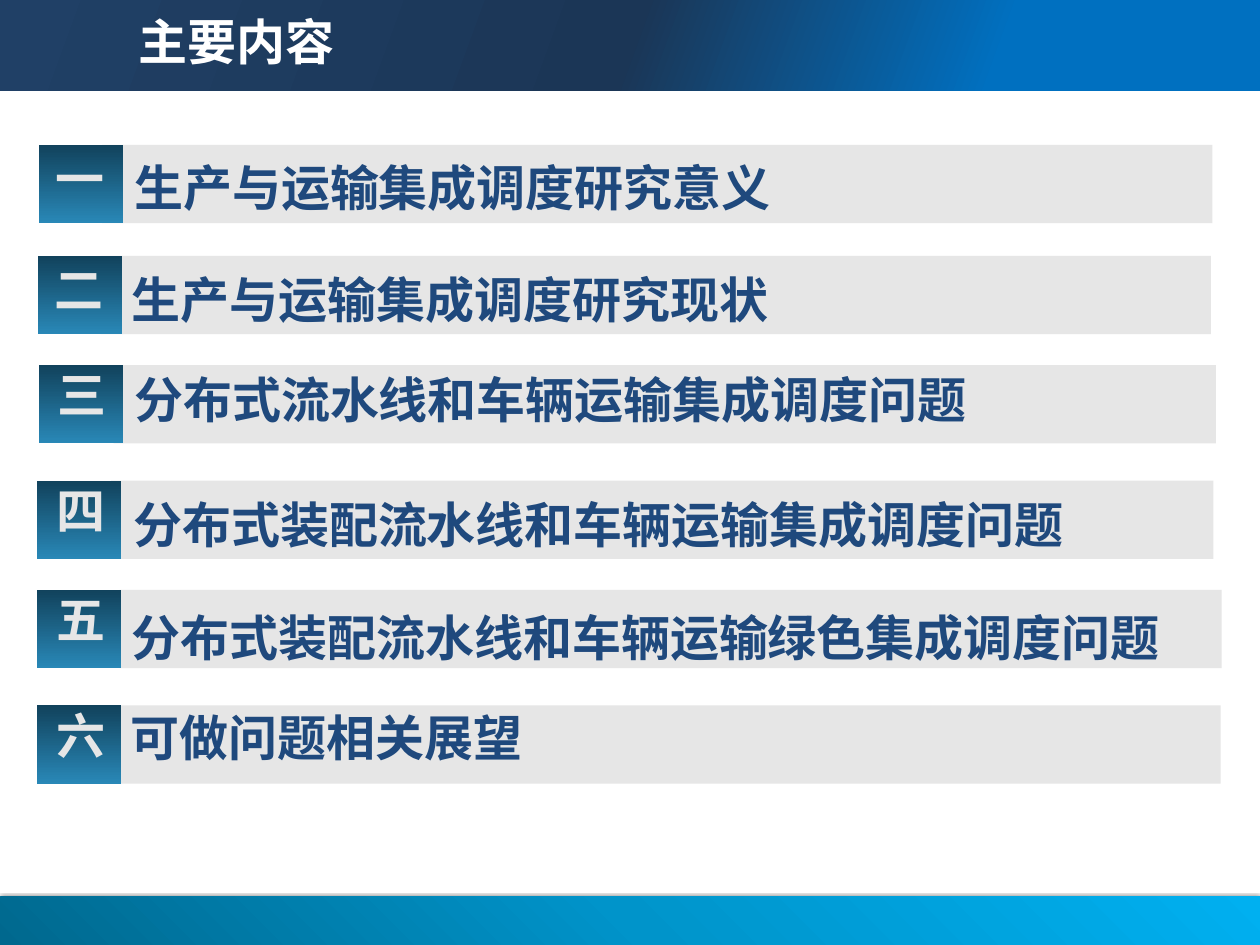
from lxml import etree
from pptx import Presentation
from pptx.dml.color import RGBColor as RGB
from pptx.enum.shapes import MSO_SHAPE as SHAPE
from pptx.enum.text import MSO_ANCHOR as ANCHOR, PP_ALIGN as ALIGN
from pptx.oxml import parse_xml
from pptx.oxml.ns import nsdecls, qn
from pptx.util import Cm, Pt

THEME = {
    "font": "Noto Sans CJK SC",
    "size": Pt(28),
    "title": "FFFFFF",
    "topic": "1F497D",
    "number": "E6E6E6",
    "bar": "E6E6E6",
    "badge": ([(0, "11425C"), (100, "2988B7")], 90),
    "header": ([(21, "0070C0"), (50, "1B3656"), (100, "204066")], 200),
    "footer": ([(0, "00688E"), (50, "0094CA"), (100, "00B0F0")], 315),
}


def add_block(box, fill):
    """Add a borderless rectangle with a solid colour or a (stops, angle) gradient."""
    sp = s.shapes.add_shape(SHAPE.RECTANGLE, *map(Cm, box))
    sp.shadow.inherit = False
    sp.line.fill.background()
    if isinstance(fill, str):
        sp.fill.solid()
        sp.fill.fore_color.rgb = RGB.from_string(fill)
        return sp
    stops, angle = fill
    gs = "".join(f'<a:gs pos="{pos * 1000}"><a:srgbClr val="{color}"/></a:gs>'
                 for pos, color in stops)
    sp.element.spPr.find(qn("a:prstGeom")).addnext(parse_xml(
        f'<a:gradFill {nsdecls("a")} rotWithShape="1"><a:gsLst>{gs}</a:gsLst>'
        f'<a:lin ang="{angle * 60000}" scaled="0"/></a:gradFill>'))
    return sp


def write(sp, text, color, top=0, anchor=ANCHOR.TOP, wrap=False):
    tf = sp.text_frame
    frame = {"word_wrap": wrap, "vertical_anchor": anchor, "margin_top": Cm(top),
             "margin_bottom": 0, "margin_left": Cm(0.25), "margin_right": Cm(0.25)}
    for name, value in frame.items():
        setattr(tf, name, value)
    p = tf.paragraphs[0]
    p.alignment = ALIGN.LEFT
    r = p.add_run()
    r.text = text
    for name, value in {"name": THEME["font"], "size": THEME["size"], "bold": True}.items():
        setattr(r.font, name, value)
    r.font.color.rgb = RGB.from_string(color)
    latin = r.font._element.find(qn("a:latin"))
    ea = etree.Element(qn("a:ea"), typeface=THEME["font"])
    latin.addnext(ea)


prs = Presentation()
prs.slide_width, prs.slide_height = Cm(25.4), Cm(19.05)
s = prs.slides.add_slide(prs.slide_layouts[5])

# Header and footer bands, behind the title
title = s.shapes.title
for box, fill in [((0, 0, 25.4, 1.83), THEME["header"]),
                  ((0, 18.08, 25.4, 0.97), THEME["footer"])]:
    band = add_block(box, fill)
    band.element.spPr.find(qn("a:effectLst")).append(parse_xml(
        f'<a:outerShdw {nsdecls("a")} blurRad="12700" dist="12700" dir="16200000">'
        '<a:srgbClr val="000000"><a:alpha val="40000"/></a:srgbClr></a:outerShdw>'))
    title.element.addprevious(band.element)

title.left, title.top, title.width, title.height = map(Cm, (2.54, 0.08, 21.06, 1.47))
write(title, "主要内容", THEME["title"], anchor=ANCHOR.MIDDLE, wrap=True)

# number, topic, bar (left, top, width), badge left, number (left, top),
# topic box (left, top, width, height) or None when the bar holds it, top margin
ROWS = [
    ("一", "生产与运输集成调度研究意义", (2.06, 2.92, 22.38), 0.79, (0.86, 3.0),
     (2.46, 2.62, 13.49, 1.88), 0.56),
    ("二", "生产与运输集成调度研究现状", (2.03, 5.16, 22.38), 0.76, (0.84, 5.23),
     (2.41, 4.88, 13.49, 1.88), 0.56),
    ("三", "分布式流水线和车辆运输集成调度问题", (2.29, 7.36, 22.22), 0.79, (0.91, 7.34),
     (2.46, 7.44, 17.48, 1.45), 0),
    ("四", "分布式装配流水线和车辆运输集成调度问题", (2.24, 9.69, 22.22), 0.74, (0.89, 9.68),
     (2.44, 9.4, 19.46, 1.88), 0.56),
    ("五", "分布式装配流水线和车辆运输绿色集成调度问题", (2.41, 11.89, 22.22), 0.74,
     (0.89, 11.89), None, 0.35),
    ("六", "可做问题相关展望", (2.39, 14.22, 22.22), 0.74, (0.89, 14.22), None, 0.05),
]
ROW_H = 1.58

for number, topic, bar_box, badge_left, number_at, topic_box, top in ROWS:
    bar = add_block((*bar_box, ROW_H), THEME["bar"])
    holder = s.shapes.add_textbox(*map(Cm, topic_box)) if topic_box else bar
    write(holder, topic, THEME["topic"], top)
    add_block((badge_left, bar_box[1], 1.7, ROW_H), THEME["badge"])
    label = s.shapes.add_textbox(*map(Cm, (*number_at, 1.57, 1.45)))
    write(label, number, THEME["number"], wrap=True)

prs.save("out.pptx")
